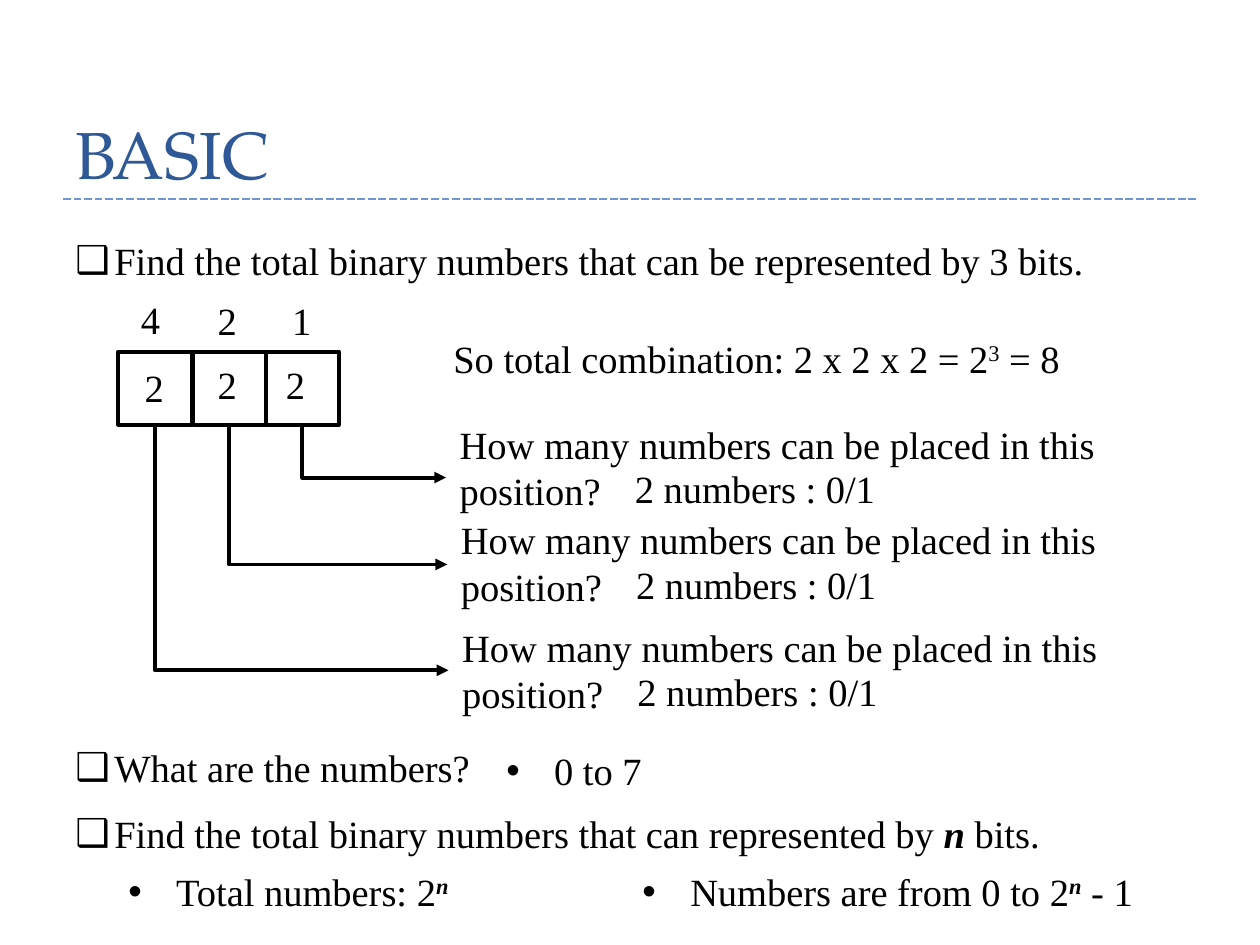
from pptx import Presentation
from pptx.util import Inches, Pt
from pptx.dml.color import RGBColor
from pptx.enum import dml, shapes, text
from pptx.oxml.ns import qn
from lxml import etree


def color(code):
    return RGBColor.from_string(code)


def write(x, y, wide, parts, high=0.47, mark=None, hang=0, wrap=True):
    box = page.shapes.add_textbox(Inches(x), Inches(y), Inches(wide), Inches(high))
    frame = box.text_frame
    frame.word_wrap = wrap
    frame.auto_size = text.MSO_AUTO_SIZE.SHAPE_TO_FIT_TEXT
    para = frame.paragraphs[0]
    if mark:
        para.alignment = text.PP_ALIGN.JUSTIFY
        prop = para._p.get_or_add_pPr()
        prop.set("marL", str(Inches(hang)))
        prop.set("indent", str(-Inches(hang)))
        etree.SubElement(prop, qn("a:buFont")).set("typeface", "Arial")
        etree.SubElement(prop, qn("a:buChar")).set("char", mark)
    for words, style in parts:
        run = para.add_run()
        run.text = words
        run.font.name = "Times New Roman"
        run.font.size = Pt(22)
        run.font.color.rgb = color("000000")
        if "b" in style:
            run.font.bold = run.font.italic = True
        if "up" in style:
            run._r.get_or_add_rPr().set("baseline", "30000")


deck = Presentation()
deck.slide_width, deck.slide_height = Inches(10), Inches(7.5)
page = deck.slides.add_slide(deck.slide_layouts[5])

title = page.shapes.title
title.left, title.top = Inches(0.5), Inches(-0.17)
title.width, title.height = Inches(9), Inches(1.75)
title.text_frame.text = "BASIC"
title.text_frame.vertical_anchor = text.MSO_ANCHOR.BOTTOM
head = title.text_frame.paragraphs[0]
head.alignment = text.PP_ALIGN.LEFT
head.line_spacing = Pt(58)
font = head.runs[0].font
font.name, font.size = "TeX Gyre Pagella", Pt(38)
font.color.rgb = color("2F5897")

rule = page.shapes.add_connector(
    shapes.MSO_CONNECTOR.STRAIGHT, Inches(0.5), Inches(1.58), Inches(9.5), Inches(1.58))
rule.line.color.rgb = color("7097D3")
rule.line.width = Pt(1.5)
rule.line.dash_style = dml.MSO_LINE.SQUARE_DOT
etree.SubElement(rule._element.spPr, qn("a:effectLst"))

side = 0.58
bits = [
    (2.11, "1", 2.22, 2.31, 2.17, 2.82, 3.55, 3.29, 3.79),
    (1.53, "2", 1.63, 2.31, 1.63, 2.82, 3.56, 4.05, 4.48),
    (0.94, "4", 1.02, 2.3, 1.05, 2.84, 3.57, 4.9, 5.32),
]
for left, worth, wx, wy, cx, cy, ask, top, turn in bits:
    cell = page.shapes.add_shape(
        shapes.MSO_SHAPE.RECTANGLE, Inches(left), Inches(2.79), Inches(side), Inches(side))
    cell.shadow.inherit = False
    cell.fill.background()
    cell.line.color.rgb = color("000000")
    cell.line.width = Pt(2.25)
    write(wx, wy, 0.36, [(worth, "")], wrap=False)
    write(cx, cy, 0.36, [("2", "")], wrap=False)

    mid, base, tip = left + side / 2, 2.79 + side, ask - 0.01
    link = page.shapes.add_connector(
        shapes.MSO_CONNECTOR.ELBOW, Inches(mid), Inches(base), Inches(tip), Inches(turn))
    link.begin_connect(cell, 2)
    across, down = tip - mid, turn - base
    link.left = Inches((mid + tip - down) / 2)
    link.top = Inches((base + turn - across) / 2)
    link.width, link.height = Inches(down), Inches(across)
    link.line.color.rgb = color("000000")
    link.line.width = Pt(2.25)
    form = link._element.spPr
    form.find(qn("a:xfrm")).set("rot", "16200000")
    form.find(qn("a:xfrm")).set("flipH", "1")
    form.find(qn("a:prstGeom")).set("prst", "bentConnector2")
    etree.SubElement(form.find(qn("a:ln")), qn("a:tailEnd")).set("type", "triangle")
    etree.SubElement(form, qn("a:effectLst"))

    write(ask, top, 5.81,
          [("How many numbers can be placed in this position?", "")], high=0.84)
    write(ask + 1.39, top + 0.35, 2.13, [("2 numbers : 0/1", "")], wrap=False)

write(3.5, 2.61, 5.14, [("So total combination: 2 x 2 x 2 = 2", ""),
                        ("3", "up"), (" = 8", "")], wrap=False)

lists = [
    (0.5, 1.83, 9, "❑", 0.31,
     [("Find the total binary numbers that can be represented by 3 bits.", "")]),
    (0.5, 5.86, 3.5, "❑", 0.31, [("What are the numbers?", "")]),
    (3.92, 5.88, 1.4, "•", 0.38, [("0 to 7", "")]),
    (0.5, 6.38, 9, "❑", 0.31,
     [("Find the total binary numbers that can represented by ", ""),
      ("n", "b"), (" bits.", "")]),
    (0.92, 6.84, 3.16, "•", 0.38, [("Total numbers: 2", ""), ("n", "b up")]),
    (5, 6.84, 4.75, "•", 0.38,
     [("Numbers are from 0 to 2", ""), ("n", "b up"), (" - 1", "")]),
]
for x, y, wide, mark, hang, parts in lists:
    write(x, y, wide, parts, mark=mark, hang=hang)

deck.save("out.pptx")
